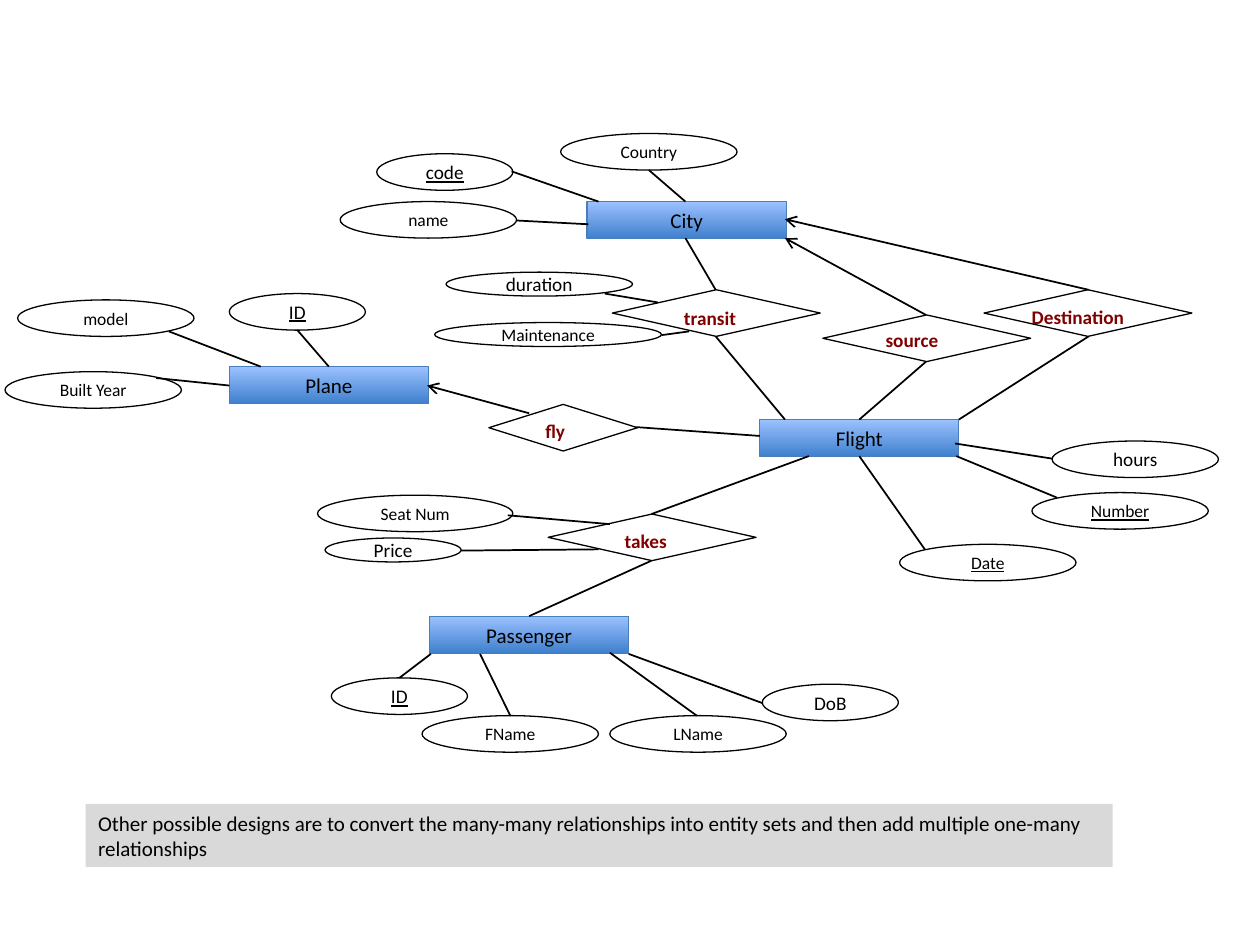
from lxml import etree
from pptx import Presentation
from pptx.dml.color import RGBColor
from pptx.enum.shapes import MSO_CONNECTOR, MSO_SHAPE
from pptx.enum.text import MSO_ANCHOR, MSO_AUTO_SIZE, PP_ALIGN
from pptx.oxml.ns import qn
from pptx.util import Inches, Pt

BLACK = RGBColor(0x00, 0x00, 0x00)
MAROON = RGBColor(0x80, 0x00, 0x00)
GREY = RGBColor(0xD9, 0xD9, 0xD9)
BLUE_DARK = RGBColor(0x3F, 0x80, 0xCD)
BLUE_LIGHT = RGBColor(0x9B, 0xC1, 0xFF)
BLUE_EDGE = RGBColor(0x4A, 0x7E, 0xBB)
RECT, OVAL, DIAMOND = MSO_SHAPE.RECTANGLE, MSO_SHAPE.OVAL, MSO_SHAPE.DIAMOND
STRAIGHT = MSO_CONNECTOR.STRAIGHT
MIDDLE, CENTER, LEFT = MSO_ANCHOR.MIDDLE, PP_ALIGN.CENTER, PP_ALIGN.LEFT

prs = Presentation()
prs.slide_width, prs.slide_height = Inches(10), Inches(7.5)
s = prs.slides.add_slide(prs.slide_layouts[6])
COL, ROW = prs.slide_width / 100, prs.slide_height / 75


def add_shape(kind, x, y, w, h):
    """Add an unfilled, thinly outlined shape placed in grid columns and rows."""
    sp = s.shapes.add_shape(kind, int(x * COL), int(y * ROW), int(w * COL), int(h * ROW))
    sp.shadow.inherit = False
    sp.fill.background()
    sp.line.color.rgb = BLACK
    sp.line.width = Pt(0.75)
    return sp


def write(sp, text, size, color=BLACK, align=CENTER):
    tf = sp.text_frame
    tf.word_wrap = True
    tf.vertical_anchor = MIDDLE
    p = tf.paragraphs[0]
    p.text = text
    p.alignment = align
    p.font.name = "Calibri"
    p.font.size = Pt(size)
    p.font.color.rgb = color
    return p


# Entity sets
for text, x, y in [("Plane", 18.2, 29.1), ("Flight", 60.3, 33.3),
                   ("Passenger", 34.1, 48.9), ("City", 46.6, 16)]:
    sp = add_shape(RECT, x, y, 15.8, 2.95)
    sp.fill.gradient()
    sp.fill.gradient_angle = 90
    for stop, color in zip(sp.fill.gradient_stops, (BLUE_DARK, BLUE_LIGHT)):
        stop.color.rgb = color
    for stop, position in zip(sp.fill.gradient_stops, (0, 1)):
        stop.position = position
    sp.line.color.rgb = BLUE_EDGE
    write(sp, text, 12)

# Attributes: text, column, row, width, height, size, is key
TALL, FLAT = 2.9, 1.9
NARROW, WIDE = 10.8, 14
for text, x, y, w, h, size, key in [
    ("ID", 18.2, 23.3, NARROW, TALL, 11, True),
    ("Built Year", 0.4, 29.5, WIDE, TALL, 10, False),
    ("model", 1.4, 23.8, WIDE, TALL, 10, False),
    ("DoB", 60.5, 54.3, NARROW, TALL, 11, False),
    ("ID", 26.3, 53.8, NARROW, TALL, 11, True),
    ("FName", 33.5, 56.8, WIDE, TALL, 10, False),
    ("LName", 48.4, 56.8, WIDE, TALL, 10, False),
    ("Number", 81.9, 39.1, WIDE, TALL, 10, True),
    ("Date", 71.4, 43.2, WIDE, TALL, 10, True),
    ("hours", 83.5, 35, 13.2, TALL, 11, False),
    ("Price", 25.8, 42.7, NARROW, FLAT, 11, False),
    ("Seat Num", 25.2, 39.3, 15.5, TALL, 10, False),
    ("code", 29.9, 12.2, NARROW, TALL, 11, True),
    ("name", 27, 16, WIDE, TALL, 10, False),
    ("Country", 44.5, 10.6, WIDE, TALL, 10, False),
    ("duration", 35.4, 21.6, 14.8, FLAT, 11, False),
    ("Maintenance", 34.5, 25.6, 18, FLAT, 10, False),
]:
    p = write(add_shape(OVAL, x, y, w, h), text, size)
    if key:
        p.font.underline = True

# Relationships: diamond column, row, width; label column, row, width
for text, x, y, w, label_x, label_y, label_w in [
    ("takes", 43.5, 40.8, 16.5, 48.6, 41.5, 5.4),
    ("fly", 38.8, 32.1, 11.8, 42.3, 32.8, 3.6),
    ("transit", 48.6, 23, 16.5, 53.3, 23.8, 6.2),
    ("source", 65.3, 25, 16.5, 69.3, 25.6, 6.2),
    ("Destination", 78.1, 23, 16.5, 80.9, 23.7, 9.4),
]:
    add_shape(DIAMOND, x, y, w, 3.7)
    label = s.shapes.add_textbox(int(label_x * COL), int(label_y * ROW),
                                 int(label_w * COL), int(2.9 * ROW))
    p = write(label, text, 11, MAROON, LEFT)
    p.font.bold = True
    label.text_frame.word_wrap = False
    label.text_frame.auto_size = MSO_AUTO_SIZE.SHAPE_TO_FIT_TEXT
    label.text_frame.vertical_anchor = MSO_ANCHOR.TOP

# Links: start column and row, end column and row
plain_links = [
    (26.1, 29.1, 23.6, 26.2), (20.7, 29.1, 13.4, 26.3), (18.2, 30.6, 12.4, 30),  # Plane
    (34.2, 51.9, 31.7, 53.8), (38.1, 51.9, 40.5, 56.8),                          # Passenger
    (48.4, 51.8, 55.3, 56.8), (49.9, 51.9, 60.5, 55.8),
    (83.9, 39.5, 75.9, 36.2), (68.2, 36.2, 73.4, 43.6), (75.8, 35.2, 83.5, 36.4),  # Flight
    (41, 17.5, 46.7, 17.8), (40.6, 13.6, 47.5, 16), (51.5, 13.5, 54.4, 16),      # City
    (51.7, 40.8, 64.2, 36.2), (42, 48.9, 51.7, 44.5),                            # takes
    (36.6, 43.7, 47.5, 43.6), (40.3, 40.9, 48.4, 41.6),
    (50.5, 33.9, 60.3, 34.6),                                                    # fly
    (48, 23.3, 52.2, 24), (52.5, 26.6, 54.7, 26.3),                              # transit
    (62.3, 33.3, 56.8, 26.7), (56.8, 23, 54.4, 18.9),
    (68.2, 33.3, 73.5, 28.7), (76.1, 33.3, 86.4, 26.7),                          # source, Destination
]
arrow_links = [(42, 32.8, 33.9, 30.6), (73.5, 25, 62.3, 18.9), (86.4, 23, 62.3, 17.4)]
for link in plain_links + arrow_links:
    x1, y1, x2, y2 = link
    line = s.shapes.add_connector(STRAIGHT, int(x1 * COL), int(y1 * ROW),
                                  int(x2 * COL), int(y2 * ROW))
    line.line.color.rgb = BLACK
    line.line.width = Pt(1)
    if link in arrow_links:
        etree.SubElement(line.line._get_or_add_ln(), qn("a:tailEnd"), type="arrow")
    etree.SubElement(line._element.spPr, qn("a:effectLst"))

# Closing remark
note = add_shape(RECT, 6.8, 63.8, 81.5, 5)
note.fill.solid()
note.fill.fore_color.rgb = GREY
note.line.fill.background()
write(note, "Other possible designs are to convert the many-many relationships into entity sets "
      "and then add multiple one-many relationships", 12, align=LEFT)
note.text_frame.vertical_anchor = MSO_ANCHOR.TOP

prs.save("out.pptx")
